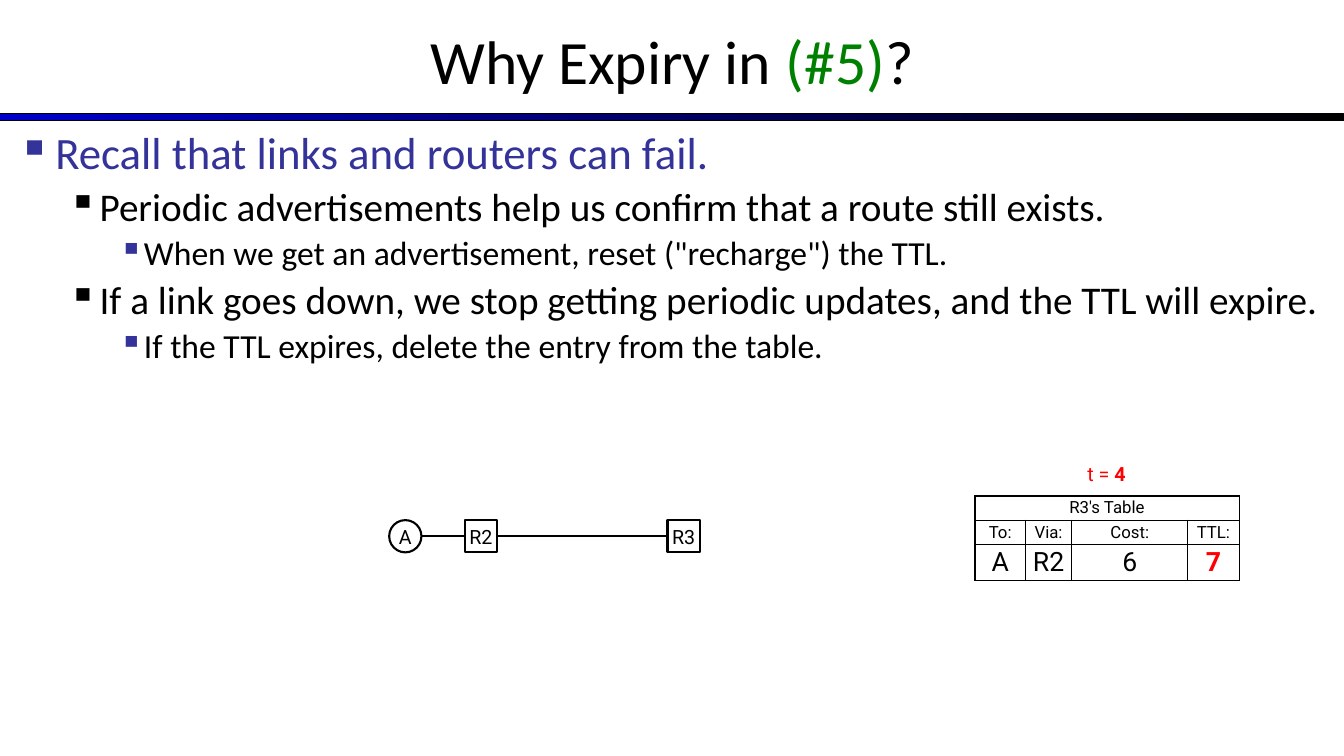
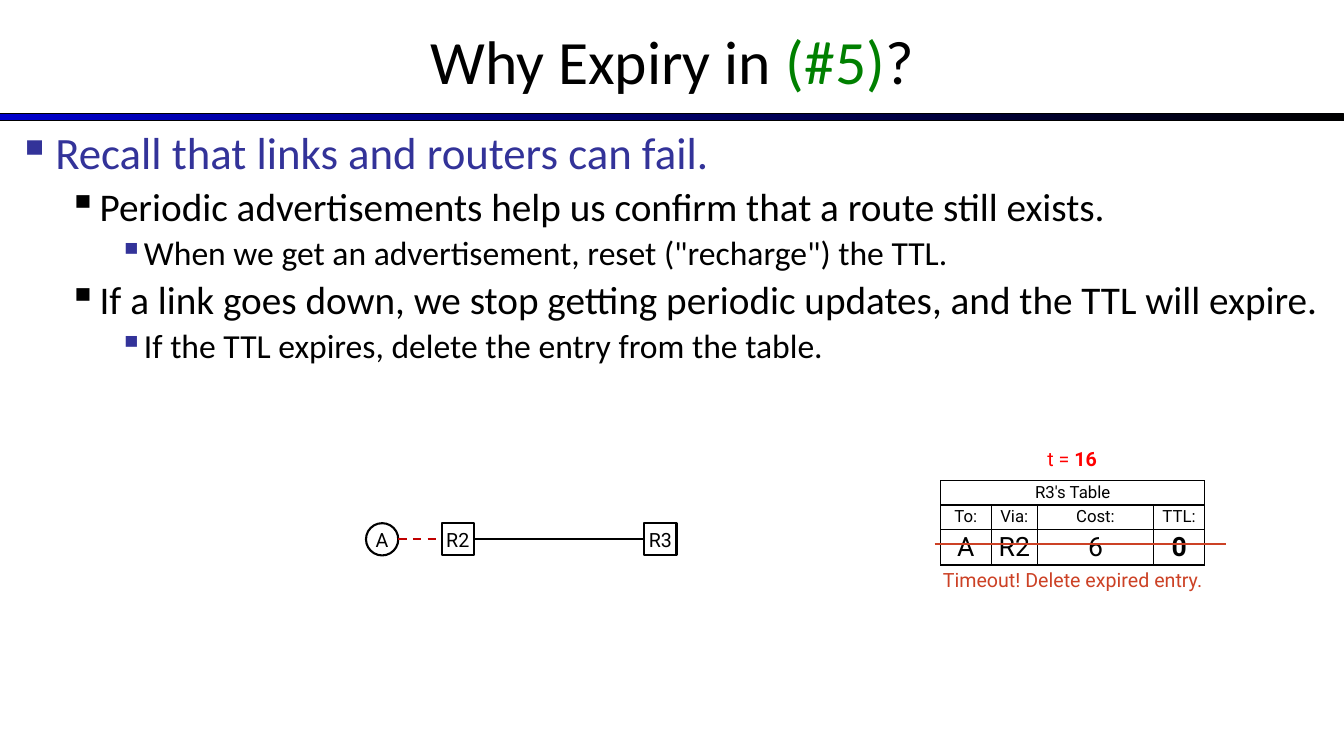
from dataclasses import dataclass

from lxml import etree
from pptx import Presentation
from pptx.dml.color import RGBColor
from pptx.enum.dml import MSO_LINE
from pptx.enum.shapes import MSO_CONNECTOR, MSO_SHAPE
from pptx.enum.text import MSO_ANCHOR, PP_ALIGN
from pptx.oxml.ns import qn
from pptx.util import Pt

PX = 9144  # EMU per px, 100 px to the inch
RECTANGLE, ELLIPSE = MSO_SHAPE.RECTANGLE, MSO_SHAPE.OVAL
STRAIGHT = MSO_CONNECTOR.STRAIGHT
DASH = MSO_LINE.DASH
MIDDLE, TOP = MSO_ANCHOR.MIDDLE, MSO_ANCHOR.TOP
CENTER = PP_ALIGN.CENTER
LEFT_SIDE, RIGHT_SIDE = 1, 3

PAGE_WIDTH, PAGE_HEIGHT = 1333, 750
NODE = 32
R2_OFFSET, R3_OFFSET = 75, 276
COLUMNS = (50, 46, 115, 51)
ROWS = (24, 24, 35)
TABLE_WIDTH, TABLE_HEIGHT = sum(COLUMNS), sum(ROWS)


@dataclass(frozen=True)
class Theme:
    black: str = "000000"
    white: str = "FFFFFF"
    band: str = "0000CC"
    heading: str = "333399"
    step: str = "008000"
    alert: str = "FF0000"
    failed: str = "C00000"
    expired: str = "CC4125"
    body_font: str = "Calibri"
    diagram_font: str = "Roboto"
    title_size: int = 44
    label_size: int = 14
    header_size: int = 12
    entry_size: int = 19
    line_width: float = 1.5


THEME = Theme()

# Per level: type size, text colour, bullet colour, text indent, bullet hang
LEVELS = (
    (32, THEME.heading, THEME.heading, 37, 37),
    (28, THEME.black, THEME.black, 81, 31),
    (24, THEME.black, THEME.heading, 125, 25),
)
OUTLINE = (
    (0, "Recall that links and routers can fail."),
    (1, "Periodic advertisements help us confirm that a route still exists."),
    (2, 'When we get an advertisement, reset ("recharge") the TTL.'),
    (1, "If a link goes down, we stop getting periodic updates, and the TTL will expire."),
    (2, "If the TTL expires, delete the entry from the table."),
)


def rgb(color):
    return RGBColor.from_string(color)


class Builder:
    """Holds the deck, its theme and the page being drawn."""

    def __init__(self, theme):
        self.theme = theme
        self.deck = Presentation()
        self.deck.slide_width = PAGE_WIDTH * PX
        self.deck.slide_height = PAGE_HEIGHT * PX
        self.page = None

    def new_page(self):
        self.page = self.deck.slides.add_slide(self.deck.slide_layouts[6])
        self.band()
        self.title()
        self.outline()

    def format_span(self, span, size, color, font, bold=False):
        span.font.size = Pt(size)
        span.font.name = font
        span.font.color.rgb = rgb(color)
        span.font.bold = bold

    def frame(self, shape, inset_x, inset_y, anchor=TOP):
        frame = shape.text_frame
        frame.word_wrap = True
        frame.vertical_anchor = anchor
        frame.margin_left = frame.margin_right = inset_x * PX
        frame.margin_top = frame.margin_bottom = inset_y * PX
        return frame

    def text_box(self, left, top, width, height, inset_x, inset_y, anchor=TOP):
        box = self.page.shapes.add_textbox(left * PX, top * PX, width * PX, height * PX)
        return self.frame(box, inset_x, inset_y, anchor)

    def centered(self, para, size, font, *spans):
        """Fill a paragraph from (text, colour, bold) spans."""
        para.alignment = CENTER
        for text, color, bold in spans:
            span = para.add_run()
            span.text = text
            self.format_span(span, size, color, font, bold)

    def shape(self, kind, left, top, width, height, line_width):
        shape = self.page.shapes.add_shape(kind, left * PX, top * PX, width * PX, height * PX)
        shape.shadow.inherit = False
        shape.line.color.rgb = rgb(self.theme.black)
        shape.line.width = Pt(line_width)
        return shape

    def band(self):
        fill = self.shape(RECTANGLE, 0, 113, PAGE_WIDTH, 7, 0.75).fill
        fill.gradient()
        fill.gradient_angle = 0
        colors = (self.theme.band, self.theme.black)
        for position, (stop, color) in enumerate(zip(fill.gradient_stops, colors)):
            stop.position = position
            stop.color.rgb = rgb(color)

    def title(self):
        theme = self.theme
        frame = self.text_box(0, -3, PAGE_WIDTH, 125, 10, 5, MIDDLE)
        self.centered(
            frame.paragraphs[0], theme.title_size, theme.body_font,
            ("Why Expiry in ", theme.black, False),
            ("(#5)", theme.step, False),
            ("?", theme.black, False),
        )

    def outline(self):
        frame = self.text_box(8, 125, 1317, 258, 10, 5)
        frame.text = "\n".join(text for _, text in OUTLINE)
        for para, (level, _) in zip(frame.paragraphs, OUTLINE):
            size, color, bullet_color, indent, hang = LEVELS[level]
            para.level = level
            para.line_spacing = 0.9
            para.space_before = Pt(size * 0.2)
            self.bullet(para, bullet_color, indent, hang)
            self.format_span(para.runs[0], size, color, self.theme.body_font)

    def bullet(self, para, color, indent, hang):
        properties = para._p.get_or_add_pPr()
        properties.set("marL", str(indent * PX))
        properties.set("indent", str(-hang * PX))
        bullet_color = etree.SubElement(properties, qn("a:buClr"))
        etree.SubElement(bullet_color, qn("a:srgbClr"), val=color)
        etree.SubElement(properties, qn("a:buChar"), char="▪")

    def node(self, kind, name, left, top):
        theme = self.theme
        node = self.shape(kind, left, top, NODE, NODE, theme.line_width)
        node.fill.solid()
        node.fill.fore_color.rgb = rgb(theme.white)
        frame = self.frame(node, 0, 0, MIDDLE)
        self.centered(frame.paragraphs[0], theme.label_size, theme.diagram_font,
                      (name, theme.black, False))
        return node

    def line(self, start, end, y, color):
        line = self.page.shapes.add_connector(STRAIGHT, start * PX, y * PX, end * PX, y * PX)
        line.line.color.rgb = rgb(color)
        line.line.width = Pt(self.theme.line_width)
        etree.SubElement(line._element.spPr, qn("a:effectLst"))
        return line

    def network(self, left, top, link_failed=False):
        """Draw host A and routers R2 and R3 with their links."""
        theme = self.theme
        middle = top + NODE // 2
        self.node(ELLIPSE, "A", left, top)
        near = self.node(RECTANGLE, "R2", left + R2_OFFSET, top)
        far = self.node(RECTANGLE, "R3", left + R3_OFFSET, top)

        host_link = self.line(left + NODE, left + R2_OFFSET, middle,
                              theme.failed if link_failed else theme.black)
        host_link.end_connect(near, LEFT_SIDE)
        if link_failed:
            host_link.line.dash_style = DASH

        router_link = self.line(left + R2_OFFSET + NODE, left + R3_OFFSET, middle, theme.black)
        router_link.begin_connect(near, RIGHT_SIDE)
        router_link.end_connect(far, LEFT_SIDE)

    def cell_style(self, cell):
        properties = cell._tc.get_or_add_tcPr()
        for side in ("a:lnL", "a:lnR", "a:lnT", "a:lnB"):
            border = etree.SubElement(properties, qn(side), w=str(Pt(1)))
            fill = etree.SubElement(border, qn("a:solidFill"))
            etree.SubElement(fill, qn("a:srgbClr"), val=self.theme.black)
        cell.fill.background()
        cell.vertical_anchor = MIDDLE
        cell.margin_left = cell.margin_right = 0
        cell.margin_top = cell.margin_bottom = 2 * PX

    def routing_table(self, left, top, ttl, ttl_color):
        theme = self.theme
        table = self.page.shapes.add_table(
            len(ROWS), len(COLUMNS), left * PX, top * PX,
            TABLE_WIDTH * PX, TABLE_HEIGHT * PX).table
        table.first_row = table.horz_banding = False
        for column, width in zip(table.columns, COLUMNS):
            column.width = width * PX
        for row, height in zip(table.rows, ROWS):
            row.height = height * PX
        table.cell(0, 0).merge(table.cell(0, len(COLUMNS) - 1))

        values = (("R3's Table",), ("To:", "Via:", "Cost:", "TTL:"), ("A", "R2", "6", ttl))
        sizes = (theme.header_size, theme.header_size, theme.entry_size)
        for row, texts, size in zip(table.rows, values, sizes):
            for cell in row.cells:
                self.cell_style(cell)
            for cell, text in zip(row.cells, texts):
                cell.text = text
                para = cell.text_frame.paragraphs[0]
                para.alignment = CENTER
                self.format_span(para.runs[0], size, theme.black, theme.diagram_font)
        ttl_font = table.cell(2, 3).text_frame.paragraphs[0].runs[0].font
        ttl_font.bold = True
        ttl_font.color.rgb = rgb(ttl_color)

    def caption(self, table_left, top, width, *spans):
        """Write a label centred on the routing table."""
        left = table_left + (TABLE_WIDTH - width) // 2
        frame = self.text_box(left, top, width, 30, 3, 3)
        self.centered(frame.paragraphs[0], self.theme.label_size,
                      self.theme.diagram_font, *spans)

    def table_state(self, left, top, time, ttl, ttl_color):
        alert = self.theme.alert
        self.routing_table(left, top, ttl, ttl_color)
        self.caption(left, top - 37, 77, ("t = ", alert, False), (time, alert, True))

    def expiry(self, left, top):
        """Strike out the table's entry and say why."""
        color = self.theme.expired
        self.caption(left, top + TABLE_HEIGHT, 316,
                     ("Timeout! Delete expired entry.", color, False))
        self.line(left - 6, left + 283, top + 63, color)


def main():
    builder = Builder(THEME)

    builder.new_page()
    builder.table_state(967, 492, "4", "7", THEME.alert)
    builder.network(386, 516)

    builder.new_page()
    builder.network(363, 519, link_failed=True)
    builder.table_state(933, 477, "16", "0", THEME.black)
    builder.expiry(933, 477)

    builder.deck.save("out.pptx")


if __name__ == "__main__":
    main()
